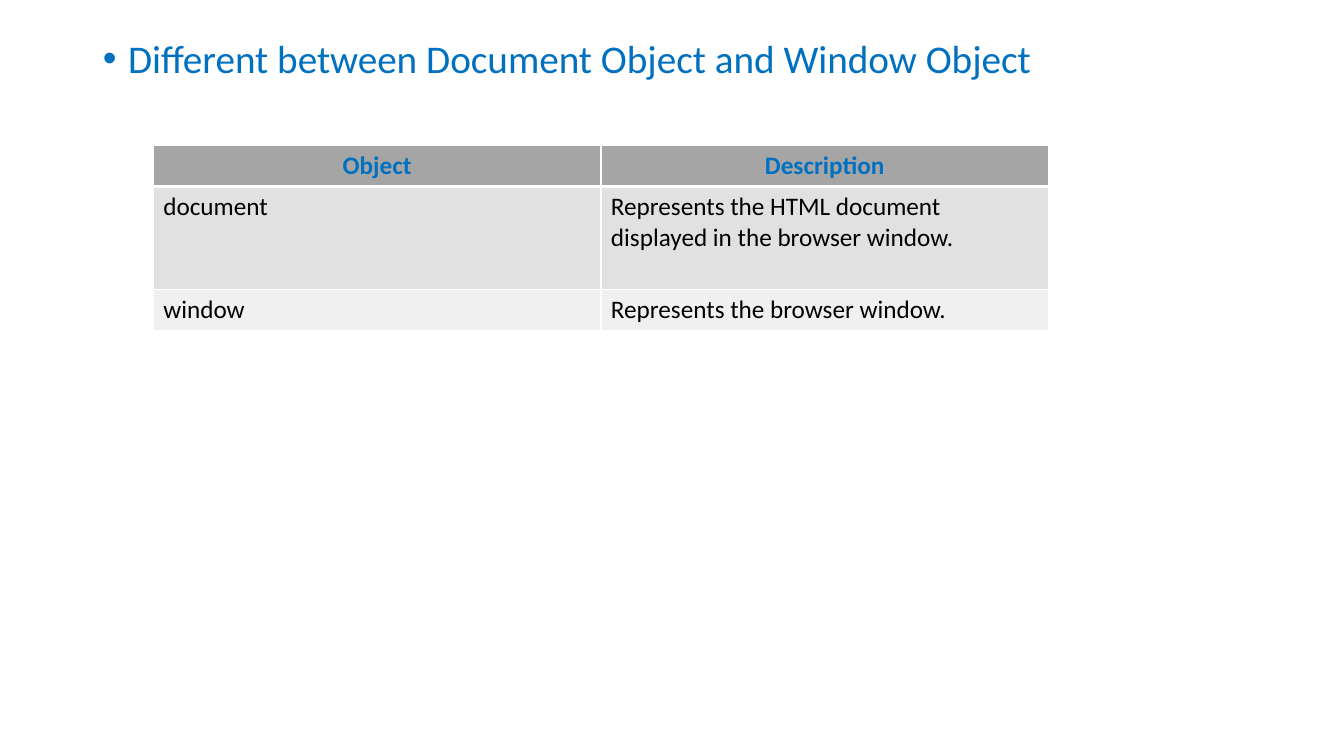
from lxml import etree
from pptx import Presentation
from pptx.dml.color import RGBColor
from pptx.enum.text import MSO_ANCHOR, PP_ALIGN
from pptx.oxml.ns import qn
from pptx.util import Inches, Pt

FONT = "Calibri"
BLUE, BLACK, WHITE = "0070C0", "000000", "FFFFFF"
HEADER_FILL = "A5A5A5"
BAND_FILLS = ("E1E1E1", "F0F0F0")
OBJECT_ROWS = [
    ("Object", "Description"),
    ("document", "Represents the HTML document displayed in the browser window."),
    ("window", "Represents the browser window."),
]
ROW_HEIGHTS = (0.41, 1.02, 0.41)


def rgb(hex_color):
    return RGBColor.from_string(hex_color)


def add_run(paragraph, text, size, color, bold=False):
    run = paragraph.add_run()
    run.text = text
    run.font.name = FONT
    run.font.size = Pt(size)
    run.font.bold = bold
    run.font.color.rgb = rgb(color)


def set_borders(cell, bottom_width):
    """Draw white cell borders, with the bottom one in its own width."""
    cell_props = cell._tc.get_or_add_tcPr()
    widths = {"a:lnL": 1, "a:lnR": 1, "a:lnT": 1, "a:lnB": bottom_width}
    for position, (side, width) in enumerate(widths.items()):
        line = etree.Element(qn(side), w=str(Pt(width)))
        fill = etree.SubElement(line, qn("a:solidFill"))
        etree.SubElement(fill, qn("a:srgbClr"), val=WHITE)
        cell_props.insert(position, line)


def fill_heading(body, left, top, width, height):
    body.left, body.top = Inches(left), Inches(top)
    body.width, body.height = Inches(width), Inches(height)
    body.text_frame.vertical_anchor = MSO_ANCHOR.TOP
    heading = body.text_frame.paragraphs[0]
    heading.line_spacing = 0.9
    heading.space_before = Pt(10)
    props = heading._p.get_or_add_pPr()
    props.set("marL", str(Inches(0.25)))
    props.set("indent", str(Inches(-0.25)))
    etree.SubElement(props, qn("a:buFont"), typeface="Arial")
    etree.SubElement(props, qn("a:buChar"), char="•")
    add_run(heading, "Different between Document Object and Window Object", 28, BLUE)


def add_object_table(slide, left, top, width):
    frame = slide.shapes.add_table(
        len(OBJECT_ROWS), 2, Inches(left), Inches(top),
        Inches(width), Inches(sum(ROW_HEIGHTS)))
    table = frame.table
    for row_index, entries in enumerate(OBJECT_ROWS):
        table.rows[row_index].height = Inches(ROW_HEIGHTS[row_index])
        is_header = row_index == 0
        for column_index, entry in enumerate(entries):
            cell = table.cell(row_index, column_index)
            cell.fill.solid()
            cell.fill.fore_color.rgb = rgb(
                HEADER_FILL if is_header else BAND_FILLS[(row_index - 1) % 2])
            set_borders(cell, 3 if is_header else 1)
            paragraph = cell.text_frame.paragraphs[0]
            paragraph.alignment = PP_ALIGN.CENTER if is_header else PP_ALIGN.LEFT
            add_run(paragraph, entry, 18, BLUE if is_header else BLACK, is_header)


def main():
    prs = Presentation()
    prs.slide_width, prs.slide_height = Inches(13.33), Inches(7.5)
    slide = prs.slides.add_slide(prs.slide_layouts[1])
    title = slide.shapes.title.element
    title.getparent().remove(title)
    fill_heading(slide.placeholders[1], 0.92, 0.34, 11.5, 6.41)
    add_object_table(slide, 1.52, 1.44, 8.88)
    prs.save("out.pptx")


if __name__ == "__main__":
    main()
